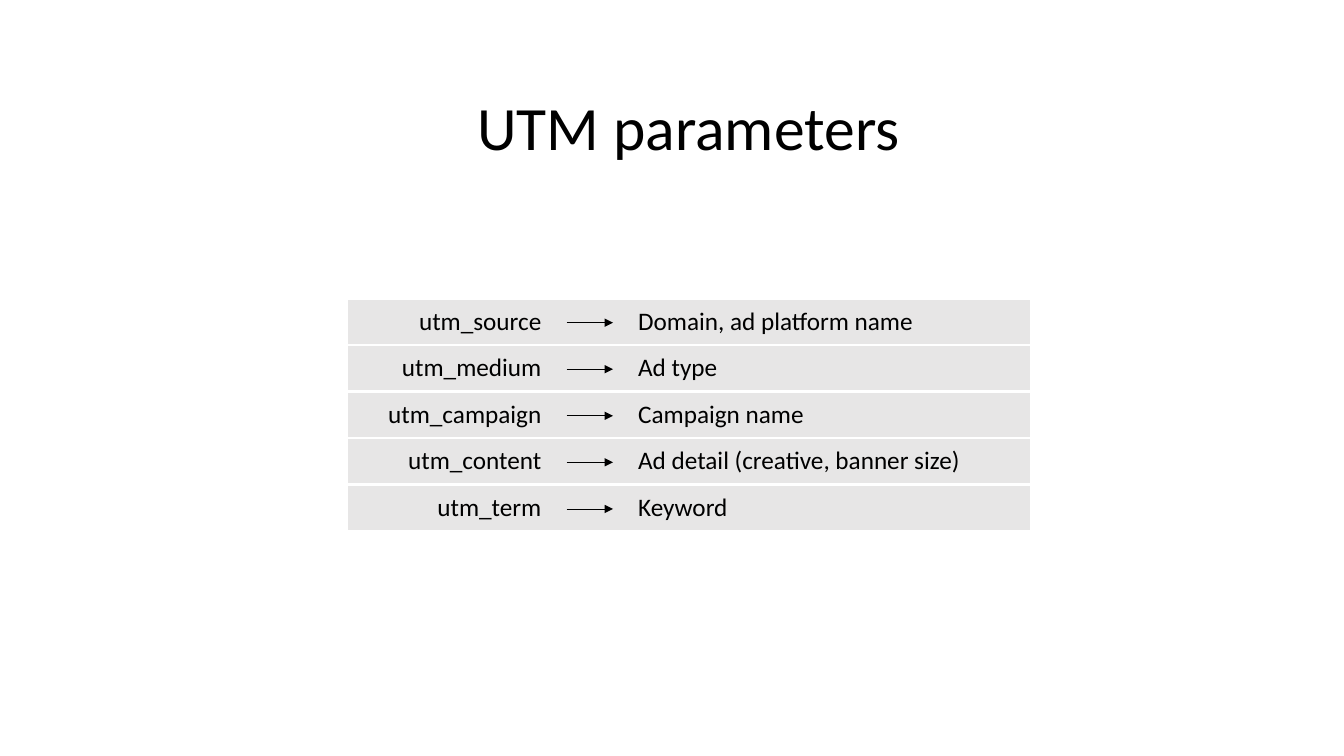
from lxml import etree
from pptx import Presentation
from pptx import util as u
from pptx.dml.color import RGBColor
from pptx.enum import shapes, text
from pptx.oxml.ns import qn

TITLE = "UTM parameters"
PARAMETERS = [
    ("utm_source", "Domain, ad platform name"),
    ("utm_medium", "Ad type"),
    ("utm_campaign", "Campaign name"),
    ("utm_content", "Ad detail (creative, banner size)"),
    ("utm_term", "Keyword"),
]
THEME = {
    "font": "Calibri",
    "ink": RGBColor.from_string("000000"),
    "band": RGBColor.from_string("E7E6E6"),
    "rule": "FFFFFF",
    "title": 44,
    "body": 18,
    "rule_width": 2.25,
    "arrow_width": 0.5,
}
TABLE_LEFT, TABLE_TOP = 3.45, 2.96
COLUMNS = [2.02, 0.76, 3.99]
TABLE_HEIGHT = 2.31
ARROW_INSET, ARROW_LENGTH, ARROW_DROP = 0.15, 0.46, 0.01


def style(p, size, align):
    p.alignment = align
    p.font.name = THEME["font"]
    p.font.size = u.Pt(size)
    p.font.color.rgb = THEME["ink"]


def add_border(cell, side):
    ln = etree.SubElement(cell._tc.get_or_add_tcPr(), qn(f"a:ln{side}"))
    if side in "LR":
        etree.SubElement(ln, qn("a:noFill"))
        return
    ln.set("w", str(u.Pt(THEME["rule_width"])))
    fill = etree.SubElement(ln, qn("a:solidFill"))
    etree.SubElement(fill, qn("a:srgbClr"), val=THEME["rule"])


def add_title(s):
    sp = s.shapes.add_textbox(*map(u.Inches, (1.08, 0.57, 11.5, 1.45)))
    tf = sp.text_frame
    tf.word_wrap = True
    tf.vertical_anchor = text.MSO_ANCHOR.MIDDLE
    p = tf.paragraphs[0]
    p.text = TITLE
    p.line_spacing = 0.9
    style(p, THEME["title"], text.PP_ALIGN.CENTER)


def add_parameters(s):
    frame = s.shapes.add_table(
        len(PARAMETERS), len(COLUMNS),
        *map(u.Inches, (TABLE_LEFT, TABLE_TOP, sum(COLUMNS), TABLE_HEIGHT)))
    table = frame.table
    table.first_row = table.horz_banding = False
    for column, width in zip(table.columns, COLUMNS):
        column.width = u.Inches(width)
    aligns = [text.PP_ALIGN.RIGHT, text.PP_ALIGN.CENTER, text.PP_ALIGN.LEFT]
    for row, (name, meaning) in zip(table.rows, PARAMETERS):
        for cell, words, align in zip(row.cells, (name, "", meaning), aligns):
            for side in "LRTB":
                add_border(cell, side)
            cell.fill.solid()
            cell.fill.fore_color.rgb = THEME["band"]
            cell.vertical_anchor = text.MSO_ANCHOR.MIDDLE
            p = cell.text_frame.paragraphs[0]
            p.text = words
            style(p, THEME["body"], align)


def add_arrow(s, x, y):
    arrow = s.shapes.add_connector(
        shapes.MSO_CONNECTOR.STRAIGHT,
        *map(u.Inches, (x, y, x + ARROW_LENGTH, y)))
    arrow.line.color.rgb = THEME["ink"]
    arrow.line.width = u.Pt(THEME["arrow_width"])
    etree.SubElement(arrow.line._get_or_add_ln(), qn("a:tailEnd"), type="triangle")
    etree.SubElement(arrow._element.spPr, qn("a:effectLst"))


def main():
    prs = Presentation()
    prs.slide_width, prs.slide_height = u.Inches(13.33), u.Inches(7.5)
    s = prs.slides.add_slide(prs.slide_layouts[6])
    add_title(s)
    add_parameters(s)
    row_height = TABLE_HEIGHT / len(PARAMETERS)
    for i in range(len(PARAMETERS)):
        add_arrow(s, TABLE_LEFT + COLUMNS[0] + ARROW_INSET,
                  TABLE_TOP + (i + 0.5) * row_height + ARROW_DROP)
    prs.save("out.pptx")


if __name__ == "__main__":
    main()
